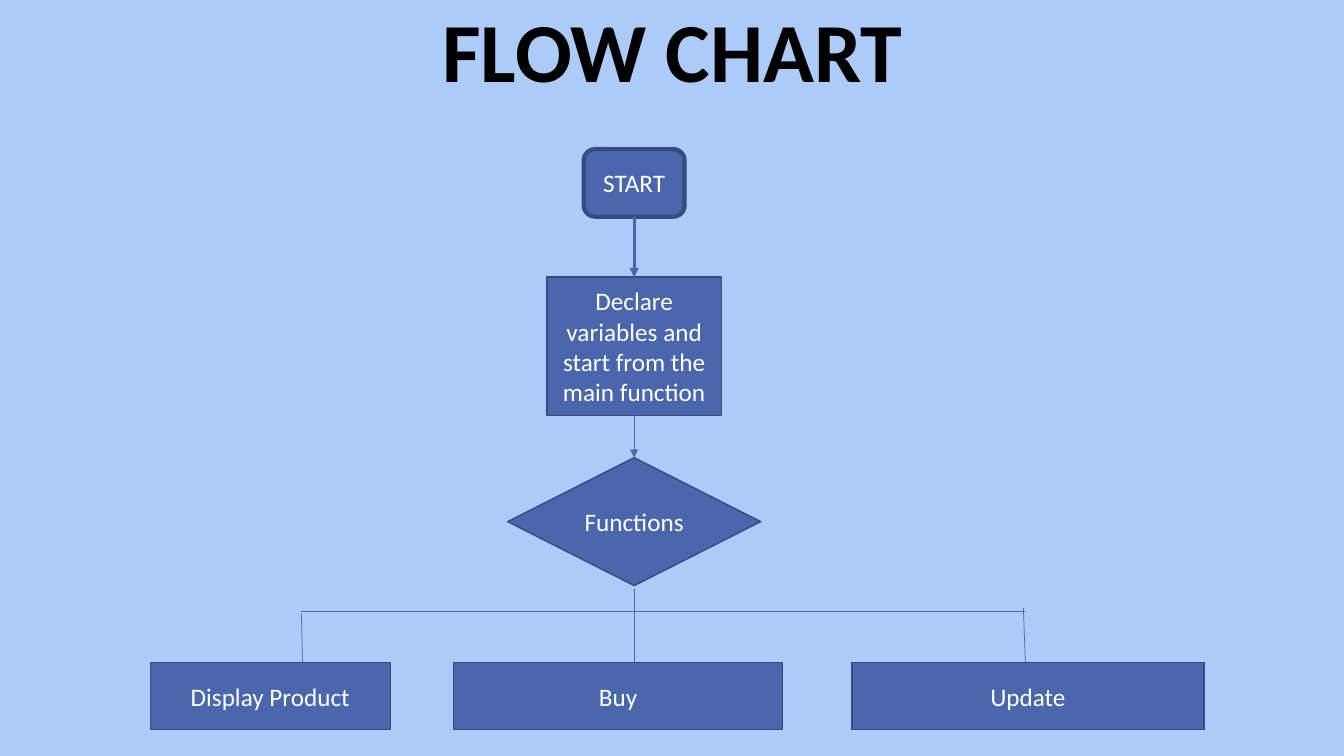
from lxml import etree
from pptx import Presentation, util as u
from pptx.dml.color import RGBColor
from pptx.enum import shapes, text
from pptx.oxml.ns import qn

COLORS = {"sky": "ACCBF9", "blue": "4A66AC", "navy": "374B7F",
          "black": "000000", "white": "FFFFFF"}
KIND = shapes.MSO_SHAPE


class FlowSlide:
    """Holds the style and the current slide."""

    font = "Calibri"

    def __init__(self, deck):
        self.slide = deck.slides.add_slide(deck.slide_layouts[6])
        self.paint(self.slide.background.fill, "sky")

    def paint(self, fill, color):
        fill.solid()
        fill.fore_color.rgb = RGBColor.from_string(COLORS[color])

    def label(self, frame, words, color, spacing=1.0, **font_format):
        frame.word_wrap = True
        frame.vertical_anchor = text.MSO_ANCHOR.MIDDLE
        paragraph = frame.paragraphs[0]
        paragraph.alignment = text.PP_ALIGN.CENTER
        paragraph.line_spacing = spacing
        run = paragraph.add_run()
        run.text = words
        run.font.color.rgb = RGBColor.from_string(COLORS[color])
        for name, value in {"name": self.font, **font_format}.items():
            setattr(run.font, name, value)

    def title(self, words, *box):
        heading = self.slide.shapes.add_textbox(*map(u.Inches, box))
        self.label(heading.text_frame, words, "black", 0.9, size=u.Pt(60), bold=True)

    def step(self, kind, words, *box, border=1):
        node = self.slide.shapes.add_shape(kind, *map(u.Inches, box))
        node.shadow.inherit = False
        self.paint(node.fill, "blue")
        self.paint(node.line.fill, "navy")
        node.line.width = u.Pt(border)
        self.label(node.text_frame, words, "white", size=u.Pt(18))

    def link(self, *ends, width=0.5, arrow=False):
        link = self.slide.shapes.add_connector(
            shapes.MSO_CONNECTOR.STRAIGHT, *map(u.Inches, ends))
        self.paint(link.line.fill, "blue")
        link.line.width = u.Pt(width)
        properties = link._element.spPr
        if arrow:
            etree.SubElement(properties.find(qn("a:ln")), qn("a:tailEnd"), type="triangle")
        etree.SubElement(properties, qn("a:effectLst"))


deck = Presentation()
deck.slide_width, deck.slide_height = u.Inches(13.33), u.Inches(7.5)
chart = FlowSlide(deck)
chart.title("FLOW CHART", 0.92, 0, 11.5, 1.09)

# Main flow, centred on one axis
axis = 6.29
main_flow = [
    (KIND.FLOWCHART_ALTERNATE_PROCESS, "START", 1.48, 1, 0.67, 3),
    (KIND.FLOWCHART_PROCESS, "Declare variables and start from the main function",
     2.75, 1.73, 1.37, 1),
    (KIND.FLOWCHART_DECISION, "Functions", 4.54, 2.51, 1.27, 1),
]
for kind, words, top, width, height, border in main_flow:
    chart.step(kind, words, axis - width / 2, top, width, height, border=border)

# Arrows between the main steps
for (*_, top, _, height, _), following, weight in zip(main_flow, main_flow[1:], (2.25, 0.5)):
    chart.link(axis, top + height, axis, following[2], width=weight, arrow=True)

# Functions to choose from
branch_top, branch_height = 6.57, 0.67
for words, left, width in (("Display Product", 1.49, 2.38),
                           ("Buy", 4.5, 3.26),
                           ("Update", 8.45, 3.49)):
    chart.step(KIND.FLOWCHART_PROCESS, words, left, branch_top, width, branch_height)

# Crossbar and the drops to each function
chart.link(2.99, 6.07, 10.17, 6.07)
for start_x, start_y, end_x in ((2.99, 6.09, 3), (axis, 5.84, axis), (10.15, 6.03, 10.17)):
    chart.link(start_x, start_y, end_x, branch_top)

deck.save("out.pptx")
